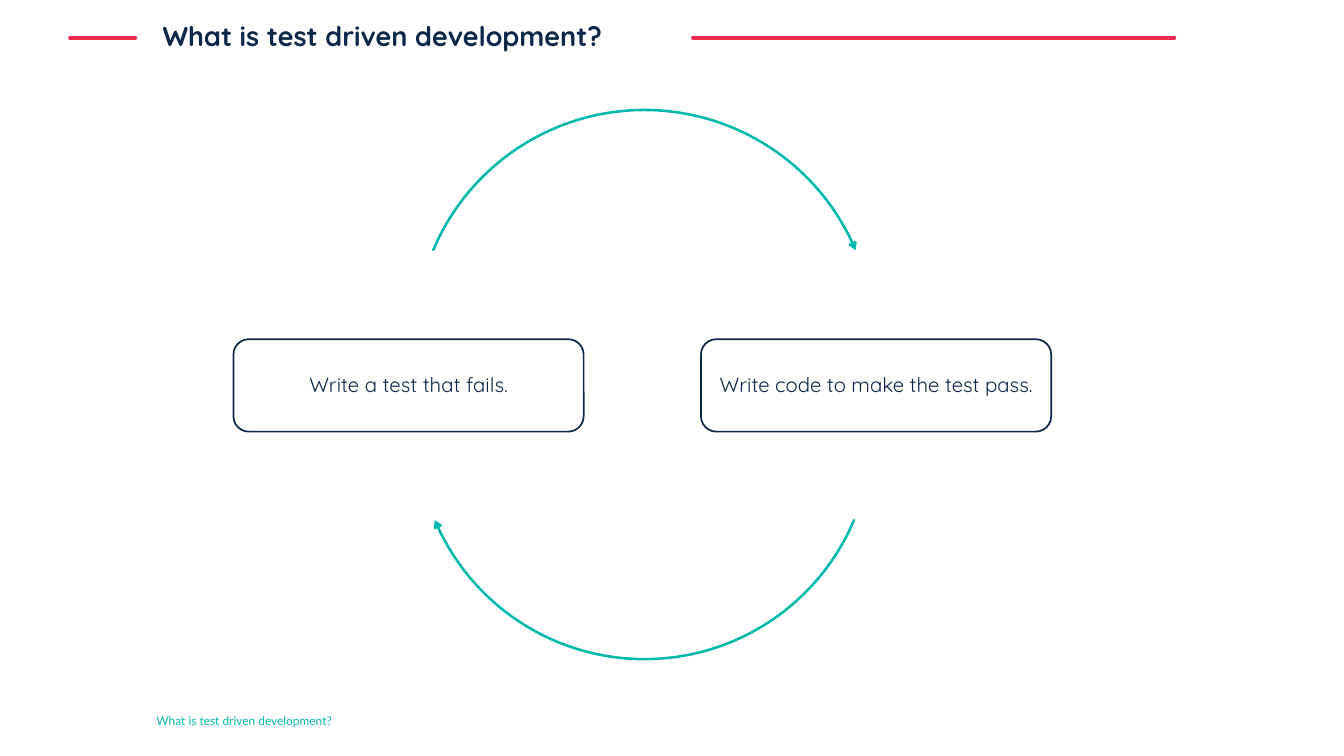
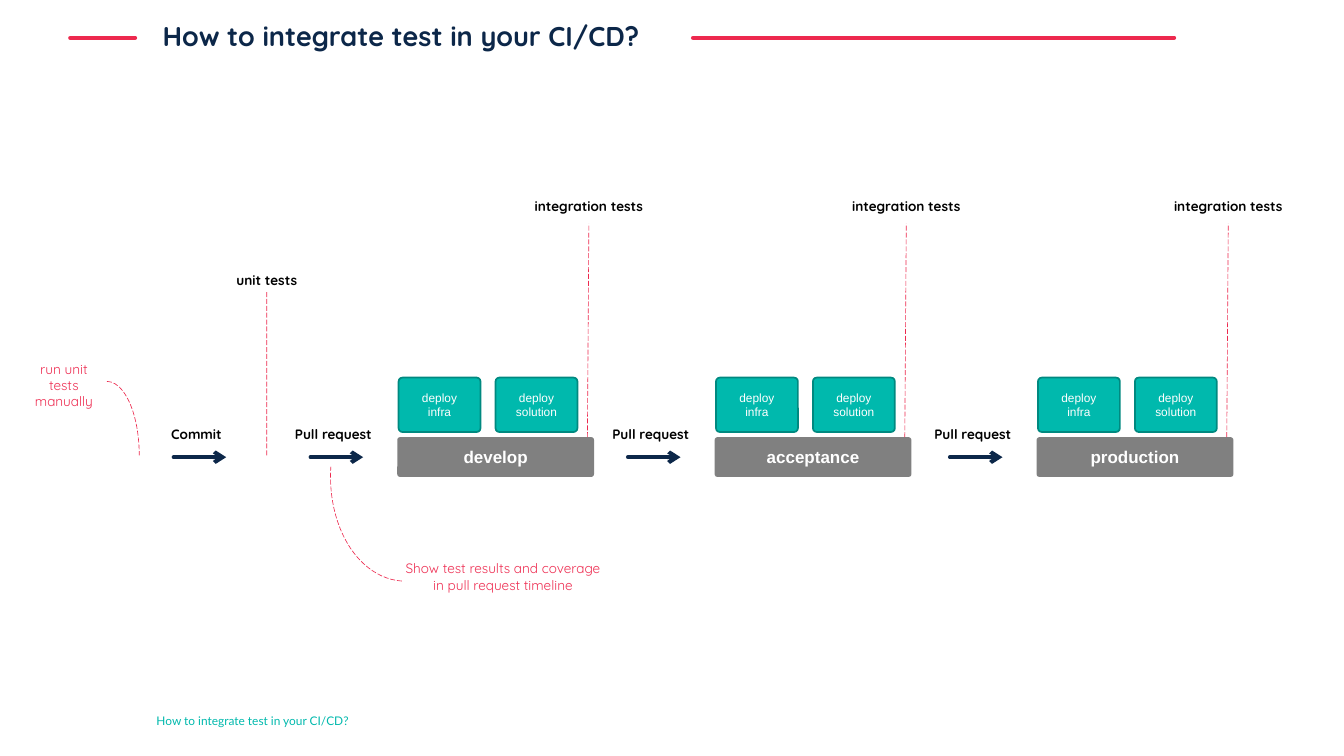
from lxml.etree import SubElement
from pptx import Presentation
from pptx.dml.color import RGBColor
from pptx.enum.dml import MSO_LINE as Dash
from pptx.enum.shapes import MSO_CONNECTOR as Connector, MSO_SHAPE as Shape
from pptx.enum.text import MSO_ANCHOR as Anchor, MSO_AUTO_SIZE as AutoSize, PP_ALIGN as Align
from pptx.oxml.ns import qn
from pptx.util import Pt

NAVY = RGBColor(0x0C, 0x27, 0x49)
TEAL = RGBColor(0x00, 0xB9, 0xAD)
DARK_TEAL = RGBColor(0x00, 0x89, 0x80)
RED = RGBColor(0xED, 0x29, 0x4E)
NOTE_RED = RGBColor(0xEE, 0x2F, 0x53)
GREY = RGBColor(0x80, 0x80, 0x80)
BLACK = RGBColor(0x00, 0x00, 0x00)
WHITE = RGBColor(0xFF, 0xFF, 0xFF)

HEADING_FONT = "Quicksand"
FOOTER_FONT = "Lato"
STAGE_FONT = "Arial"

ARC_DEGREE = 0.6
TITLE_ONLY = 5


def points(*values):
    return [Pt(value) for value in values]


def write(frame, text, size=16, font=HEADING_FONT, color=BLACK, bold=False,
          align=Align.CENTER, anchor=Anchor.MIDDLE, wrap=True, inset=None, spacing=None):
    frame.word_wrap = wrap
    frame.auto_size = AutoSize.NONE
    frame.vertical_anchor = anchor
    if inset is not None:
        frame.margin_left = frame.margin_right = Pt(inset)
        frame.margin_top = frame.margin_bottom = Pt(inset)
    for index, line in enumerate(text.split("\n")):
        para = frame.add_paragraph() if index else frame.paragraphs[0]
        para.alignment = align
        if spacing:
            para.line_spacing = spacing
        span = para.add_run()
        span.text = line
        span.font.size = Pt(size)
        span.font.name = font
        span.font.bold = bold
        span.font.color.rgb = color


def add_label(page, box, text, **style):
    label = page.shapes.add_textbox(*points(*box))
    write(label.text_frame, text, **style)
    return label


def style_line(shape, color, width, dashed=False, arrow=False):
    shape.line.color.rgb = color
    shape.line.width = Pt(width)
    if dashed:
        shape.line.dash_style = Dash.LONG_DASH
    outline = shape.line._get_or_add_ln()
    if not dashed:
        outline.set("cap", "rnd")
    if arrow:
        SubElement(outline, qn("a:tailEnd"), type="arrow")


def add_line(page, start, end, color, width, **style):
    line = page.shapes.add_connector(Connector.STRAIGHT, *points(*start, *end))
    style_line(line, color, width, **style)
    SubElement(line._element.spPr, qn("a:effectLst"))
    return line


def add_box(page, box, fill, border=None, corner=None):
    shape = page.shapes.add_shape(Shape.ROUNDED_RECTANGLE, *points(*box))
    shape.shadow.inherit = False
    shape.fill.solid()
    shape.fill.fore_color.rgb = fill
    if border:
        shape.line.color.rgb = border
        shape.line.width = Pt(2)
    else:
        shape.line.fill.background()
    if corner is not None:
        shape.adjustments[0] = corner
    return shape


def add_arc(page, box, color, width, begin=270, end=0, rotation=0, **style):
    arc = page.shapes.add_shape(Shape.ARC, *points(*box))
    arc.shadow.inherit = False
    arc.fill.background()
    arc.adjustments[0] = begin * ARC_DEGREE
    arc.adjustments[1] = end * ARC_DEGREE
    arc.rotation = rotation
    style_line(arc, color, width, **style)


def start_page(deck, heading):
    page = deck.slides.add_slide(deck.slide_layouts[TITLE_ONLY])
    title = page.shapes.title
    title.left, title.top, title.width, title.height = points(184.3, 18.7, 781.2, 46.1)
    write(title.text_frame, heading, size=32, color=NAVY, bold=True,
          align=Align.LEFT, anchor=Anchor.TOP)
    for left, right in ((82.8, 159.1), (816.5, 1383.1)):
        add_line(page, (left, 44.6), (right, 44.6), RED, 5)
    add_label(page, (184.3, 834.5, 850.3, 28.1), heading, size=14, font=FOOTER_FONT,
              color=TEAL, align=Align.LEFT, inset=0)
    return page


def draw_cycle(page, left, top, width, height):
    card_width = 412.6
    for card_left, text in ((left, "Write a test that fails."),
                            (left + width - card_width, "Write code to make the test pass.")):
        card = add_box(page, (card_left, top, card_width, height), WHITE, NAVY)
        write(card.text_frame, text, size=24, color=NAVY, spacing=0.9)
    center = left + width / 2 + 2.5
    for middle, radius, begin, end in ((top, 270, 202.9, 337.1),
                                       (top + height, 268, 22.9, 157.1)):
        add_arc(page, (center - radius, middle - radius, 2 * radius, 2 * radius),
                TEAL, 3, begin=begin, end=end, arrow=True)


def draw_step(page, left, middle, text, label_width):
    arrow_length = 62
    add_line(page, (left, middle), (left + arrow_length, middle), NAVY, 4.5, arrow=True)
    label_left = left + (arrow_length - label_width) / 2 - 4
    add_label(page, (label_left, middle - 40.4, label_width, 26.6), text,
              bold=True, wrap=False, anchor=Anchor.TOP)


def draw_test_marker(page, box, text, foot):
    label = add_label(page, box, text, bold=True, wrap=False, anchor=Anchor.TOP)
    line = add_line(page, foot, foot, RED, 0.75, dashed=True)
    line.end_connect(label, 2)


def draw_stage(page, left, top, width, height, name):
    draw_step(page, left - 102.2, top + 23.6, "Pull request", 107.3)
    bar = add_box(page, (left, top, width, height), GREY, corner=0.07)
    write(bar.text_frame, name, size=20, font=STAGE_FONT, color=WHITE, bold=True)
    for offset, text in ((1.6, "deploy\ninfra"), (115.8, "deploy solution")):
        tile = add_box(page, (left + offset, top - 70.2, 96.5, 64.1), TEAL, DARK_TEAL, 0.07)
        write(tile.text_frame, text, size=14, font=STAGE_FONT, color=WHITE)
    draw_test_marker(page, (left + 153.4, top - 285.1, 144.7, 33.8),
                     "integration tests", (left + 224, top))


def draw_notes(page):
    add_arc(page, (87.8, 449.3, 76.3, 174.2), RED, 0.75, dashed=True)
    add_label(page, (20.9, 421.2, 108.7, 46.1), "run unit tests\nmanually",
              color=NOTE_RED, anchor=Anchor.TOP)
    add_arc(page, (389.5, 427, 185, 257.8), RED, 0.75, rotation=183.8, dashed=True)
    add_label(page, (468, 656.6, 249.1, 46.1),
              "Show test results and coverage\nin pull request timeline",
              color=NOTE_RED, wrap=False, anchor=Anchor.TOP)


def build_cycle_page(deck):
    page = start_page(deck, "What is test driven development?")
    draw_cycle(page, 275, 399.6, 963.4, 108.9)


def build_pipeline_page(deck):
    page = start_page(deck, "How to integrate test in your CI/CD?")
    draw_step(page, 204.5, 538.6, "Commit", 74.9)
    draw_test_marker(page, (270.7, 316.8, 87.1, 26.6), "unit tests", (314.3, 536.4))
    for left, name in ((468, "develop"), (841.9, "acceptance"), (1221.2, "production")):
        draw_stage(page, left, 515, 231.8, 46.8, name)
    draw_notes(page)


def main():
    deck = Presentation()
    deck.slide_width, deck.slide_height = points(1583.3, 890.6)
    build_cycle_page(deck)
    build_pipeline_page(deck)
    deck.save("out.pptx")


if __name__ == "__main__":
    main()
